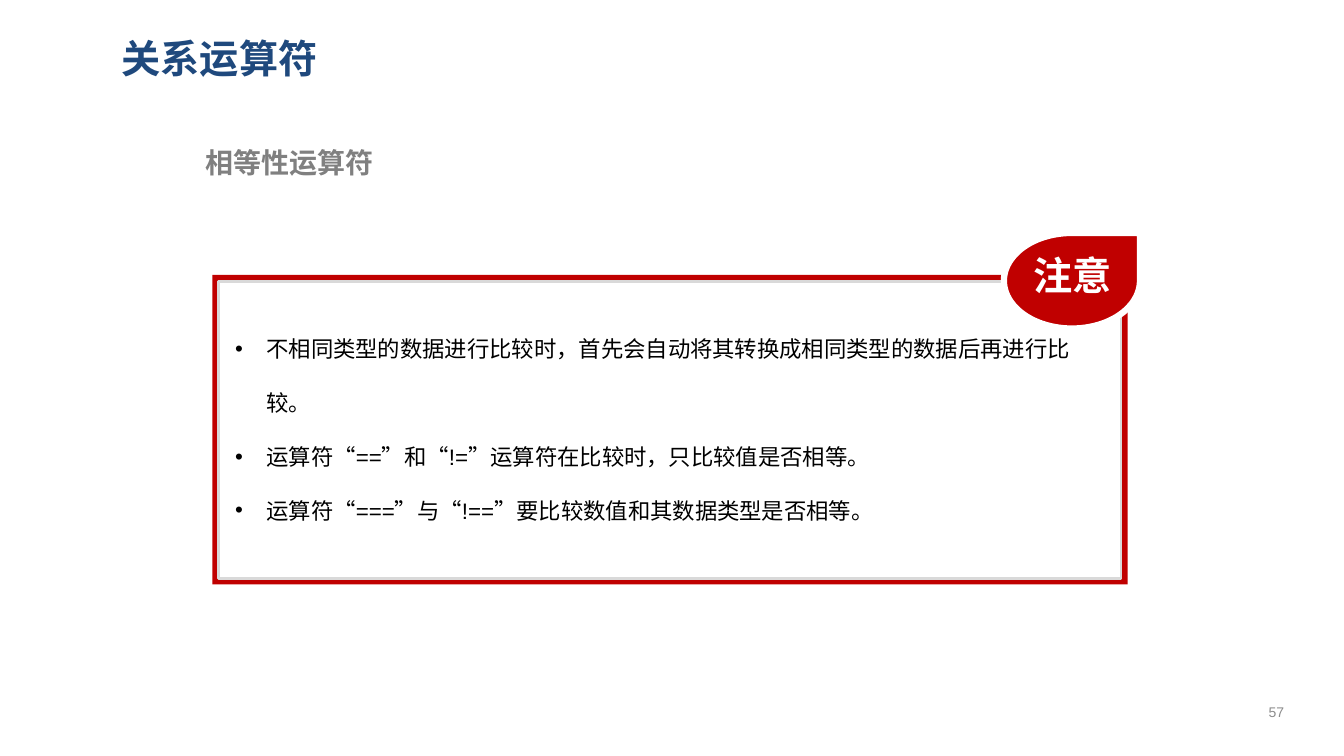
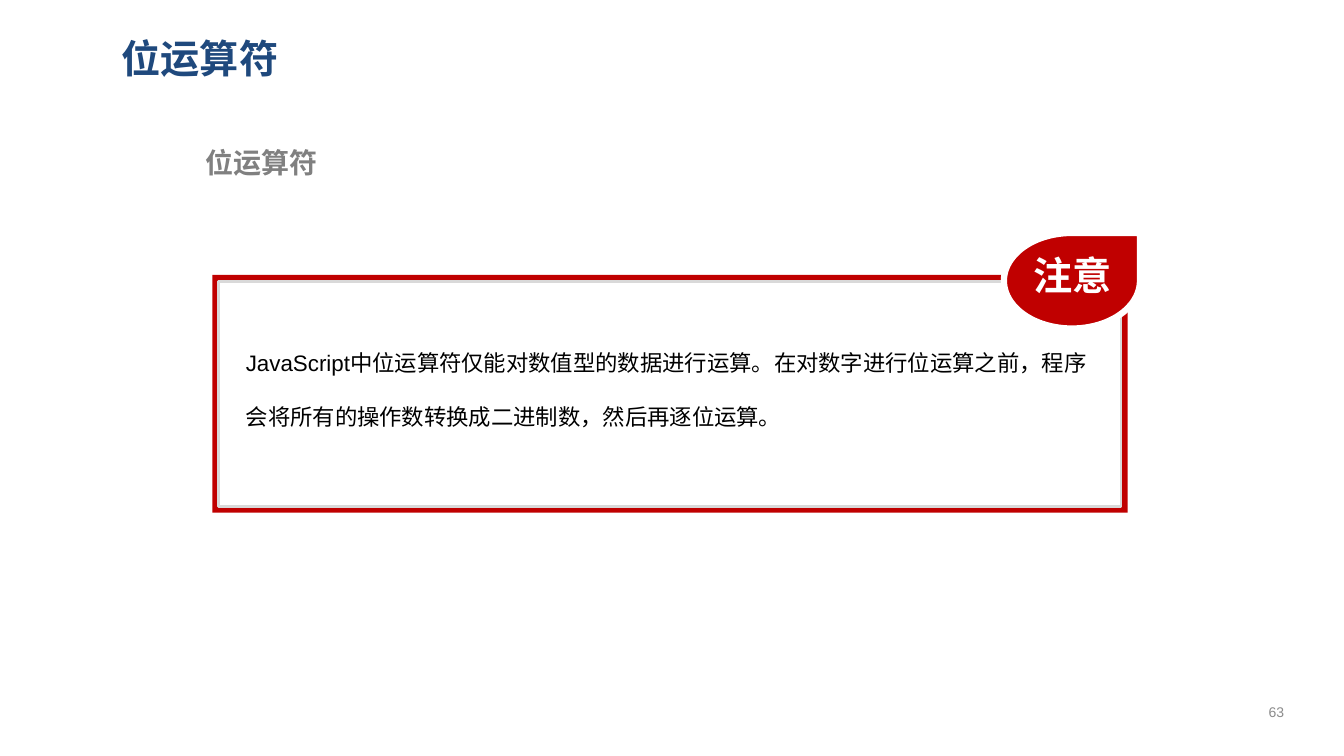
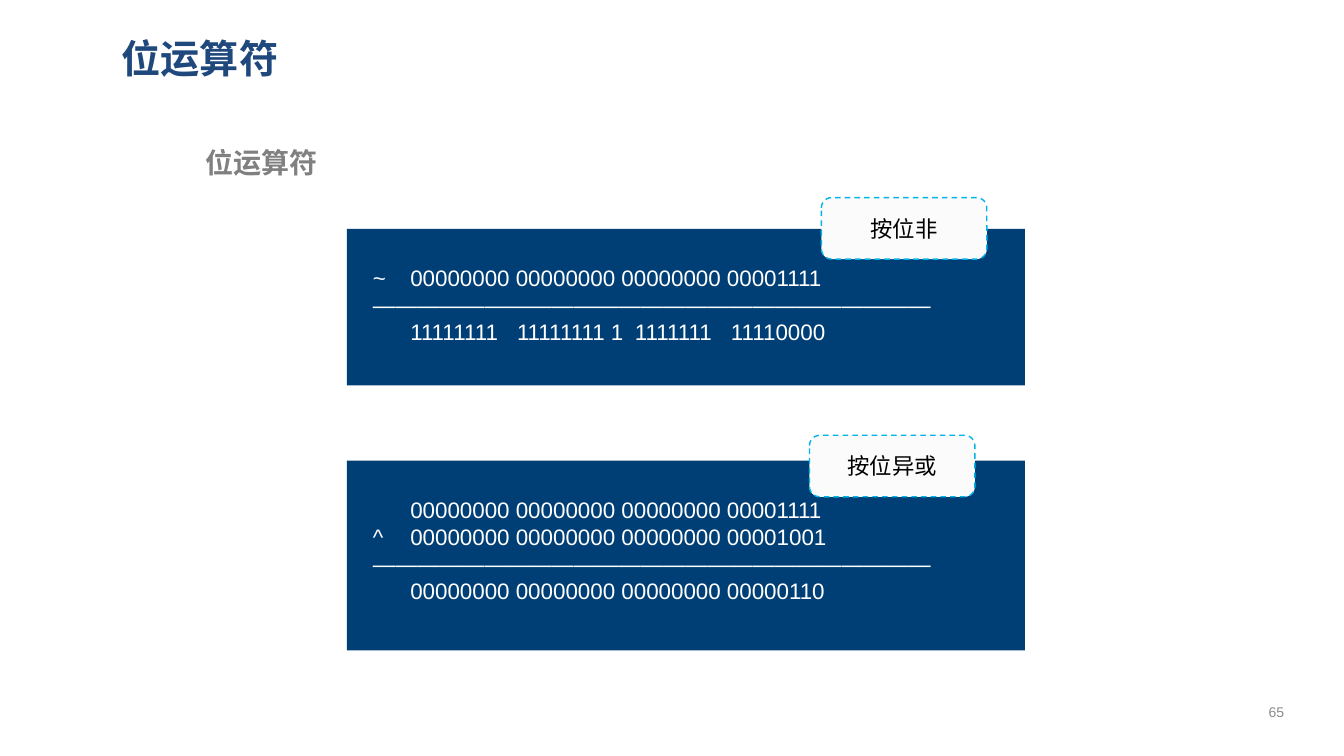
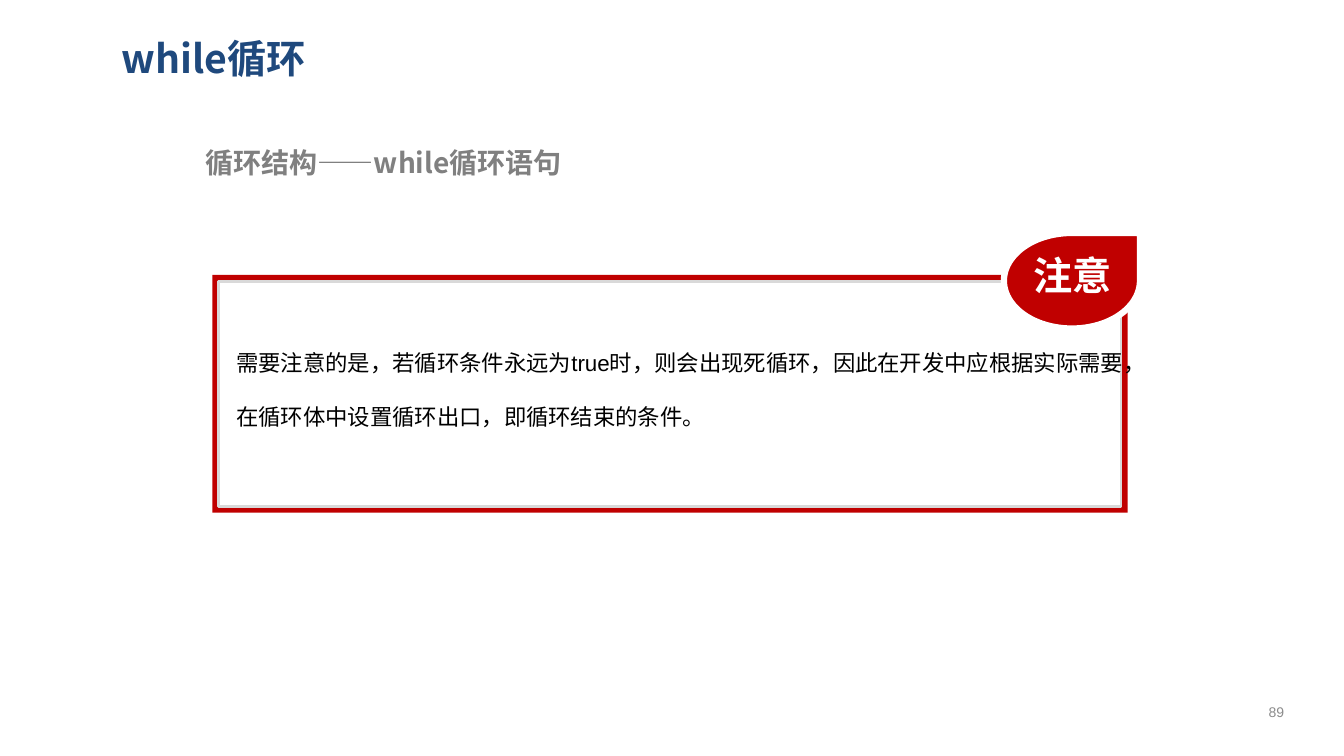
from dataclasses import dataclass
from typing import Any

from lxml import etree
from pptx import Presentation
from pptx.dml.color import RGBColor
from pptx.enum import dml, lang, shapes, text
from pptx.oxml.ns import qn
from pptx.util import Cm, Pt

SANS = "Noto Sans CJK SC"
ARIAL = "Arial"
NAVY, GRAY, RED, WHITE, BLACK = "1F497D", "808080", "C00000", "FFFFFF", "000000"
PANEL, PALE, CYAN, EDGE, FAINT = "003F75", "FBFBFB", "00B4E9", "D9D9D9", "8C8C8C"
STOPS = (0.94, 3.63, 6.6, 9.02)
RULE = "—" * 25

Kind = shapes.MSO_SHAPE
Align = text.PP_ALIGN
Anchor = text.MSO_ANCHOR


@dataclass
class Box:
    left: float
    top: float
    width: float
    height: float

    def cm(self) -> tuple:
        return Cm(self.left), Cm(self.top), Cm(self.width), Cm(self.height)


@dataclass
class Note:
    title: str
    sub: str
    page: int
    lines: list[str]
    height: float
    area: Box
    bullet: bool = False


@dataclass
class Sum:
    name: str
    lines: list[str]
    top: float
    height: float
    tag: Box


@dataclass
class Sheet:
    title: str
    sub: str
    page: int
    sums: list[Sum]


TITLE = Box(2.81, 0.61, 29.59, 1.7)
SUB = Box(4.93, 3.53, 23.42, 1.12)
PAGE = Box(31.34, 17.42, 1.65, 1.02)
DROP = Box(25.3, 5.87, 3.43, 2.41)
LABEL = Box(25.8, 6.2, 2.51, 1.45)

DECK = [
    Note("关系运算符", "相等性运算符", 57, [
        "不相同类型的数据进行比较时，首先会自动将其转换成相同类型的数据后再进行比较。",
        "运算符“==”和“!=”运算符在比较时，只比较值是否相等。",
        "运算符“===”与“!==”要比较数值和其数据类型是否相等。",
    ], 7.8, Box(5.67, 7.65, 21.95, 6.4), True),
    Note("位运算符", "位运算符", 63, [
        "JavaScript中位运算符仅能对数值型的数据进行运算。在对数字进行位运算之前，"
        "程序会将所有的操作数转换成二进制数，然后再逐位运算。",
    ], 5.99, Box(5.94, 8, 22.17, 3.1)),
    Sheet("位运算符", "位运算符", 65, [
        Sum("按位非", [
            "~\t00000000 00000000 00000000 00001111",
            RULE,
            "\t11111111\t11111111 1\t1111111\t11110000",
        ], 5.77, 3.94, Box(20.7, 4.98, 4.17, 1.55)),
        Sum("按位异或", [
            "\t00000000 00000000 00000000 00001111",
            "^\t00000000 00000000 00000000 00001001",
            RULE,
            "\t00000000 00000000 00000000 00000110",
        ], 11.61, 4.78, Box(20.4, 10.97, 4.17, 1.55)),
    ]),
    Note("while循环", "循环结构——while循环语句", 89, [
        "需要注意的是，若循环条件永远为true时，则会出现死循环，"
        "因此在开发中应根据实际需要，在循环体中设置循环出口，即循环结束的条件。",
    ], 5.99, Box(5.7, 8, 22.89, 3.1)),
]


def color(code: str) -> RGBColor:
    return RGBColor.from_string(code)


def mark(para: Any, bullet: bool, stops: tuple) -> None:
    props = para._p.get_or_add_pPr()
    if stops:
        tabs = etree.SubElement(props, qn("a:tabLst"))
        for stop in stops:
            tab = etree.SubElement(tabs, qn("a:tab"))
            tab.set("pos", str(Cm(stop)))
            tab.set("algn", "l")
        return
    inset = Cm(0.79) if bullet else 0
    props.set("marL", str(inset))
    props.set("indent", str(-inset))
    if bullet:
        etree.SubElement(props, qn("a:buFont")).set("typeface", ARIAL)
        etree.SubElement(props, qn("a:buChar")).set("char", "•")
    else:
        etree.SubElement(props, qn("a:buNone"))


def write(shape: Any, *lines: str, size: float = 16, face: str = ARIAL,
          ink: str = BLACK, bold: bool = False, align: Any = Align.LEFT,
          anchor: Any = Anchor.TOP, wrap: bool = True, space: float = 1,
          bullet: bool = False, stops: tuple = ()) -> None:
    frame = shape.text_frame
    frame.word_wrap = wrap
    frame.auto_size = text.MSO_AUTO_SIZE.NONE
    frame.vertical_anchor = anchor
    for pos, line in enumerate(lines):
        para = frame.add_paragraph() if pos else frame.paragraphs[0]
        para.alignment = align
        para.line_spacing = space
        para.space_before = Pt(0)
        mark(para, bullet, stops)
        run = para.add_run()
        run.text = line
        font = run.font
        font.size, font.bold, font.name = Pt(size), bold, face
        font.color.rgb = color(ink)
        font.language_id = lang.MSO_LANGUAGE_ID.SIMPLIFIED_CHINESE
        east = etree.Element(qn("a:ea"))
        east.set("typeface", SANS)
        font._element.find(qn("a:latin")).addnext(east)


def place(shape: Any, box: Box) -> Any:
    shape.left, shape.top, shape.width, shape.height = box.cm()
    return shape


def label(slide: Any, box: Box, *lines: str, **style: Any) -> None:
    write(slide.shapes.add_textbox(*box.cm()), *lines, **style)


def draw(slide: Any, kind: Any, box: Box, fill: str, edge: str = "",
         width: float = 1) -> Any:
    shape = slide.shapes.add_shape(kind, *box.cm())
    shape.shadow.inherit = False
    shape.fill.solid()
    shape.fill.fore_color.rgb = color(fill)
    if edge:
        shape.line.color.rgb = color(edge)
        shape.line.width = Pt(width)
    else:
        shape.line.fill.background()
    return shape


def start(deck: Any, item: Note | Sheet, layout: int) -> Any:
    slide = deck.slides.add_slide(deck.slide_layouts[layout])
    write(place(slide.shapes.title, TITLE), item.title, size=28, face=SANS,
          ink=NAVY, bold=True, anchor=Anchor.MIDDLE)
    label(slide, SUB, item.sub, size=20, face=SANS, ink=GRAY, bold=True)
    label(slide, PAGE, str(item.page), size=10, ink=FAINT,
          align=Align.CENTER, anchor=Anchor.MIDDLE)
    return slide


def warn(deck: Any, note: Note) -> None:
    slide = start(deck, note, 1)
    draw(slide, Kind.RECTANGLE, Box(5.35, 6.93, 23.07, note.height), RED)
    draw(slide, Kind.RECTANGLE, Box(5.5, 7.1, 22.75, note.height - 0.33),
         WHITE, EDGE, 2)
    draw(slide, Kind.TEAR, DROP, RED, WHITE, 4.5)
    label(slide, LABEL, "注意", size=28, face=SANS, ink=WHITE, bold=True,
          wrap=False)
    body = place(slide.placeholders[1], note.area)
    write(body, *note.lines, space=2, bullet=note.bullet)
    slide.shapes._spTree.append(body._element)


def solve(deck: Any, sheet: Sheet) -> None:
    slide = start(deck, sheet, 5)
    for part in sheet.sums:
        draw(slide, Kind.RECTANGLE, Box(8.74, part.top, 17.09, part.height),
             PANEL)
        label(slide, Box(9.15, part.top + 0.77, 16.69, 4.04), *part.lines,
              ink=WHITE, stops=STOPS)
        tag = draw(slide, Kind.ROUNDED_RECTANGLE, part.tag, PALE, CYAN)
        tag.line.dash_style = dml.MSO_LINE.DASH
        write(tag, part.name, align=Align.CENTER, anchor=Anchor.MIDDLE)


def main() -> None:
    deck = Presentation()
    deck.slide_width, deck.slide_height = Cm(33.87), Cm(19.05)
    for item in DECK:
        if isinstance(item, Note):
            warn(deck, item)
        else:
            solve(deck, item)
    deck.save("out.pptx")


if __name__ == "__main__":
    main()
